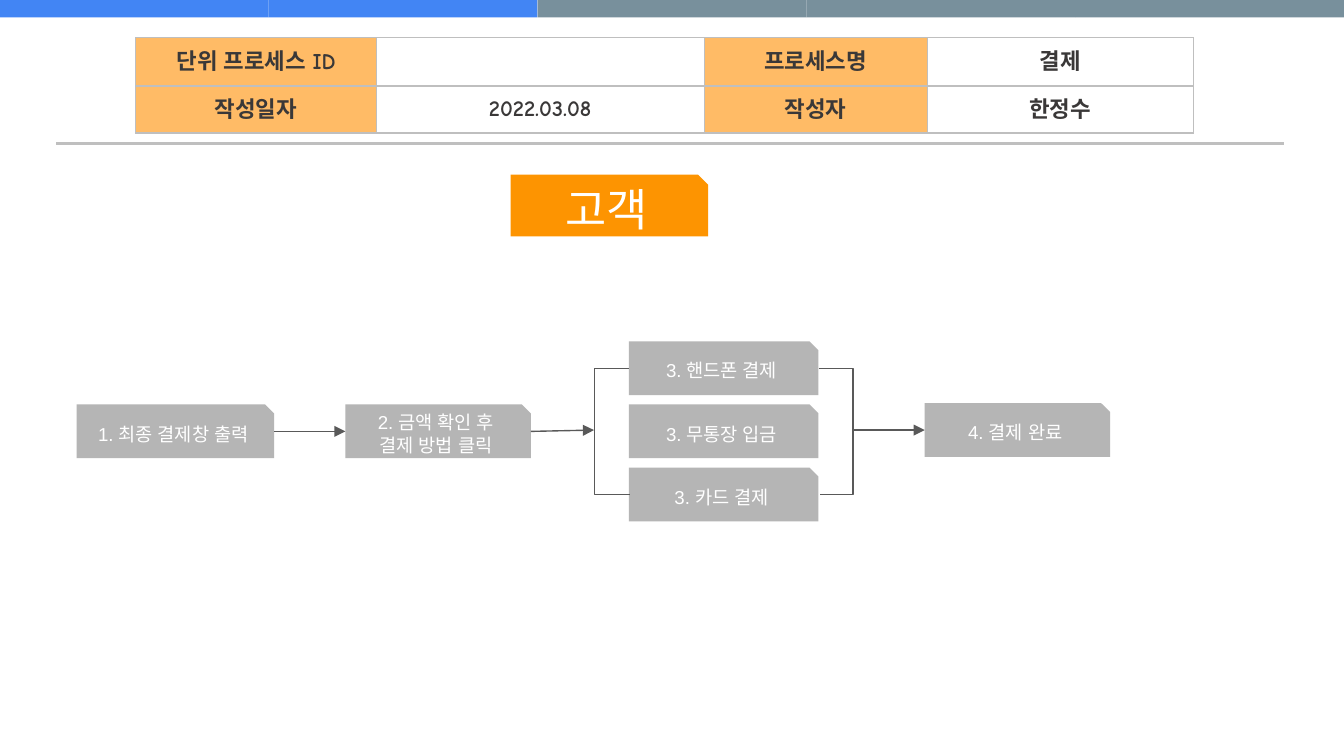
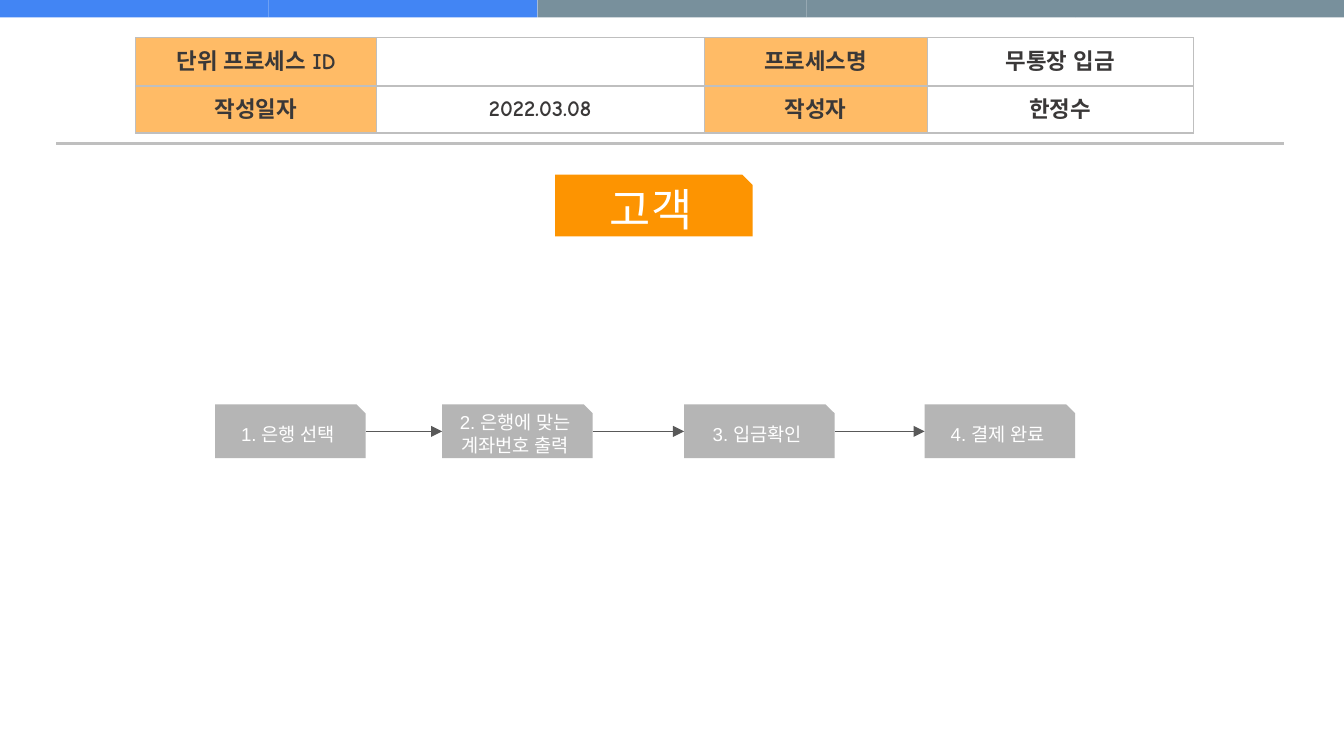
from lxml import etree
from pptx import Presentation
from pptx import util as u
from pptx.dml.color import RGBColor
from pptx.enum import shapes, text
from pptx.oxml.ns import qn

COLORS = {
    "blue": "4285F4",
    "slate": "78909C",
    "rule": "BFBFBF",
    "label": "FFAB40",
    "ink": "3A3838",
    "orange": "FD9401",
    "step": "B5B5B5",
    "arrow": "595959",
    "white": "FFFFFF",
}
BANDS = ["blue", "blue", "slate", "slate", "slate"]
COLUMNS = [1.79, 2.44, 1.66, 1.98]
ROW_H = 0.35
STEP_Y, STEP_H, STEP_PITCH = 3.01, 0.4, 0.47
MID_Y = STEP_Y + STEP_H / 2


def color(name):
    return RGBColor.from_string(COLORS[name])


def write(tf, content, *, size, font="Arial", ink="white", bold=False):
    for i, line in enumerate(content.split("\n")):
        p = tf.paragraphs[0] if i == 0 else tf.add_paragraph()
        p.alignment = text.PP_ALIGN.CENTER
        r = p.add_run()
        r.text = line
        r.font.size = u.Pt(size)
        r.font.name = font
        r.font.bold = bold
        r.font.color.rgb = color(ink)
        etree.SubElement(r.font._element, qn("a:ea"), typeface="Arial")


def add_block(s, kind, x, y, w, h, fill):
    sp = s.shapes.add_shape(kind, *map(u.Inches, (x, y, w, h)))
    sp.shadow.inherit = False
    sp.fill.solid()
    sp.fill.fore_color.rgb = color(fill)
    sp.line.fill.background()
    return sp


def add_card(s, content, x, y, w, h=STEP_H, fill="step", size=10):
    sp = add_block(s, shapes.MSO_SHAPE.SNIP_1_RECTANGLE, x, y, w, h, fill)
    tf = sp.text_frame
    tf.word_wrap = True
    tf.vertical_anchor = text.MSO_ANCHOR.MIDDLE
    write(tf, content, size=size)


def add_line(s, x1, y1, x2, y2, *, kind=shapes.MSO_CONNECTOR.STRAIGHT,
             ink="arrow", width=0.75, arrow=False):
    c = s.shapes.add_connector(kind, *map(u.Inches, (x1, y1, x2, y2)))
    c.line.color.rgb = color(ink)
    c.line.width = u.Pt(width)
    if arrow:
        etree.SubElement(c.line._get_or_add_ln(), qn("a:tailEnd"), type="triangle")
    etree.SubElement(c._element.spPr, qn("a:effectLst"))
    return c


def add_arrow(s, x1, x2, y1=MID_Y, y2=MID_Y):
    add_line(s, x1, y1, x2, y2, arrow=True)


def add_bracket(s, x, y1, y2, reach):
    span = 0.01
    c = add_line(s, x, y1, x + span, y2, kind=shapes.MSO_CONNECTOR.ELBOW)
    guides = c._element.spPr.find(qn("a:prstGeom")).get_or_add_avLst()
    etree.SubElement(guides, qn("a:gd"), name="adj1",
                     fmla=f"val {round(reach / span * 100000)}")


def border_cell(cell):
    tc_pr = cell._tc.get_or_add_tcPr()
    for i, side in enumerate(("lnL", "lnR", "lnT", "lnB")):
        ln = etree.Element(qn(f"a:{side}"), w=str(u.Pt(0.75)))
        fill = etree.SubElement(ln, qn("a:solidFill"))
        etree.SubElement(fill, qn("a:srgbClr"), val=COLORS["rule"])
        tc_pr.insert(i, ln)


def fill_cell(cell, is_label):
    cell.fill.solid()
    cell.fill.fore_color.rgb = color("label" if is_label else "white")
    if is_label:
        clr = cell._tc.tcPr.find(".//" + qn("a:srgbClr"))
        etree.SubElement(clr, qn("a:alpha"), val="80000")


def add_info_table(s, rows):
    frame = s.shapes.add_table(
        len(rows), len(COLUMNS), u.Inches(1.01), u.Inches(0.28),
        u.Inches(sum(COLUMNS)), u.Inches(ROW_H * len(rows)))
    table = frame.table
    table.first_row = table.horz_banding = False
    for column, width in zip(table.columns, COLUMNS):
        column.width = u.Inches(width)
    for i, row in enumerate(rows):
        table.rows[i].height = u.Inches(ROW_H)
        for j, value in enumerate(row):
            cell = table.cell(i, j)
            cell.margin_left = cell.margin_right = u.Inches(0.08)
            cell.margin_top = cell.margin_bottom = u.Inches(0.04)
            cell.vertical_anchor = text.MSO_ANCHOR.MIDDLE
            write(cell.text_frame, value, size=12, font="Comic Neue",
                  ink="ink", bold=True)
            fill_cell(cell, j % 2 == 0)
            border_cell(cell)


def add_process_slide(prs, process, actor_x):
    s = prs.slides.add_slide(prs.slide_layouts[6])
    for i, band in enumerate(BANDS):
        add_block(s, shapes.MSO_SHAPE.RECTANGLE, 2 * i, 0, 2, 0.13, band)
    add_line(s, 0.42, 1.07, 9.55, 1.07, ink="rule", width=1.5)
    add_info_table(s, [
        ["단위 프로세스 ID", "", "프로세스명", process],
        ["작성일자", "2022.03.08", "작성자", "한정수"],
    ])
    add_card(s, "고객", actor_x, 1.3, 1.47, 0.46, fill="orange", size=24)
    return s


def add_payment_flow(s):
    add_card(s, "1. 최종 결제창 출력", 0.57, STEP_Y, 1.47)
    add_card(s, "2. 금액 확인 후\n결제 방법 클릭", 2.57, STEP_Y, 1.38)
    left, width, reach = 4.68, 1.41, 0.26
    right = left + width
    for i, method in enumerate(["핸드폰 결제", "무통장 입금", "카드 결제"]):
        add_card(s, f"3. {method}", left, STEP_Y + (i - 1) * STEP_PITCH, width)
    add_card(s, "4. 결제 완료", 6.88, 3, 1.38)
    top, bottom = MID_Y - STEP_PITCH, MID_Y + STEP_PITCH
    add_bracket(s, left, top, bottom, -reach)
    add_bracket(s, right, top, bottom, reach)
    add_arrow(s, 2.04, 2.57)
    add_arrow(s, 3.95, left - reach, y2=3.2)
    add_arrow(s, right + reach, 6.88, 3.2, 3.2)


def add_deposit_flow(s):
    steps = ["은행 선택", "은행에 맞는 계좌번호 출력", "입금확인", "결제 완료"]
    lefts, width = [1.6, 3.29, 5.09, 6.88], 1.12
    for i, (x, step) in enumerate(zip(lefts, steps), 1):
        add_card(s, f"{i}. {step}", x, STEP_Y, width)
    for x, following in zip(lefts, lefts[1:]):
        add_arrow(s, x + width, following)


def main():
    prs = Presentation()
    prs.slide_width = u.Inches(10)
    prs.slide_height = u.Inches(10 * 9 / 16)
    add_payment_flow(add_process_slide(prs, "결제", 3.8))
    add_deposit_flow(add_process_slide(prs, "무통장 입금", 4.13))
    prs.save("out.pptx")


if __name__ == "__main__":
    main()
